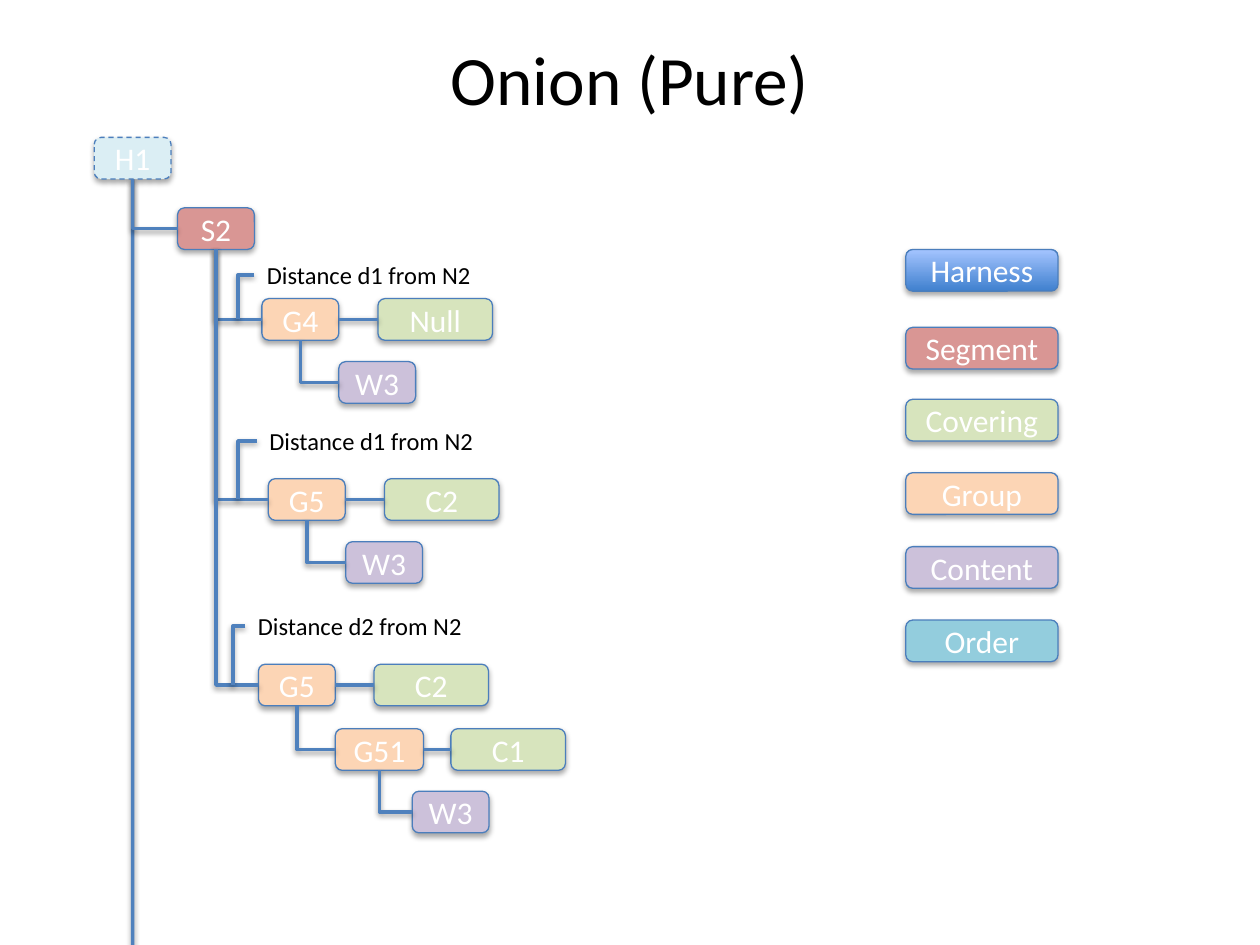
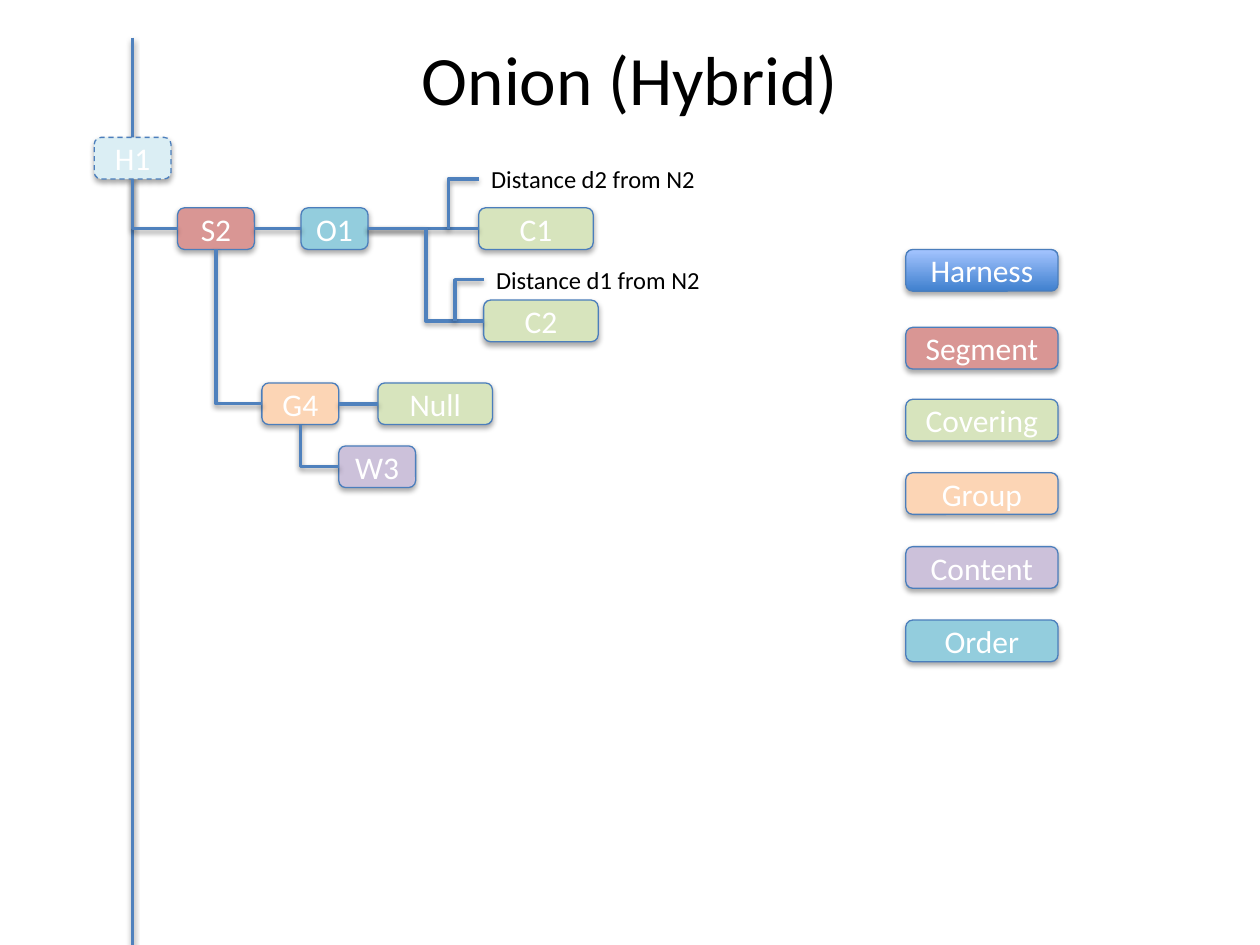
from pptx import Presentation
from pptx import util as u
from pptx.dml.color import RGBColor
from pptx.enum import dml, shapes, text

FONT = "Calibri"
OUTLINE, LINK, WHITE, BLACK = "4B7EBC", "4F81BD", "FFFFFF", "000000"
HARNESS_GRADIENT = ("3F80CE", "A4C4FF")
FILLS = {"Root": "DBEEF4", "Segment": "D99694", "Covering": "D7E4BD",
         "Group": "FCD5B5", "Content": "CCC1DA", "Order": "93CDDD"}
WIDTHS = {"Covering": 2.31, "Order": 1.35}
NODE_WIDTH, NODE_HEIGHT = 1.55, 0.84
LEGEND_LEFT, LEGEND_WIDTH = 18.26, 3.07
LEGEND_TOPS = {"Harness": 5.03, "Segment": 6.6, "Covering": 8.05,
               "Group": 9.53, "Content": 11.02, "Order": 12.5}
PAGE_WIDTH, PAGE_HEIGHT = 25.4, 19.05

ROOT = ("H1", "Root", 1.9, 2.77)
SEGMENT = ("S2", "Segment", 3.58, 4.19)

SLIDES = [
    {
        "title": "Onion (Pure)",
        "trunk_top": ROOT[3] + NODE_HEIGHT,
        "trunk_joins_root": True,
        "nodes": [
            ROOT, SEGMENT,
            ("G4", "Group", 5.28, 6.02),
            ("Null", "Covering", 7.62, 6.02),
            ("W3 first", "Content", 6.83, 7.29),
            ("G5 second", "Group", 5.41, 9.65),
            ("C2 second", "Covering", 7.75, 9.65),
            ("W3 second", "Content", 6.97, 10.92),
            ("G5 third", "Group", 5.21, 13.39),
            ("C2 third", "Covering", 7.54, 13.39),
            ("G51", "Group", 6.76, 14.69, 1.78),
            ("C1", "Covering", 9.09, 14.69),
            ("W3 third", "Content", 8.31, 15.95),
        ],
        "below": [("H1", "S2"), ("S2", "G4"), ("S2", "G5 second"),
                  ("S2", "G5 third"), ("G4", "W3 first"),
                  ("G5 second", "W3 second"), ("G5 third", "G51"),
                  ("G51", "W3 third")],
        "beside": [("G4", "Null"), ("G5 second", "C2 second"),
                   ("G5 third", "C2 third"), ("G51", "C1")],
        "forked": [],
        "distances": [("Distance d1 from N2", 5.13, 5.54, 4.8, "G4"),
                      ("Distance d1 from N2", 5.18, 8.89, 4.8, "G5 second"),
                      ("Distance d2 from N2", 4.95, 12.62, 4.7, "G5 third")],
    },
    {
        "title": "Onion (Hybrid)",
        "trunk_top": 0.76,
        "trunk_joins_root": False,
        "nodes": [
            ROOT, SEGMENT,
            ("O1", "Order", 6.07, 4.19),
            ("C1", "Covering", 9.65, 4.19),
            ("C2", "Covering", 9.75, 6.05),
            ("G4", "Group", 5.28, 7.72),
            ("Null", "Covering", 7.62, 7.72),
            ("W3", "Content", 6.83, 8.99),
        ],
        "below": [("H1", "S2"), ("S2", "G4"), ("G4", "W3")],
        "beside": [("S2", "O1"), ("O1", "C1"), ("G4", "Null")],
        "forked": [("O1", "C2")],
        "distances": [("Distance d2 from N2", 9.65, 3.61, 9.04, "C1"),
                      ("Distance d1 from N2", 9.75, 5.64, 9.17, "C2")],
    },
]


def color(value):
    return RGBColor.from_string(value)


def write(frame, words, size=18, ink=WHITE, align=text.PP_ALIGN.CENTER,
          anchor=text.MSO_ANCHOR.MIDDLE, wrap=False):
    frame.word_wrap = wrap
    frame.vertical_anchor = anchor
    para = frame.paragraphs[0]
    para.alignment = align
    span = para.add_run()
    span.text = words
    span.font.name = FONT
    span.font.size = u.Pt(size)
    span.font.color.rgb = color(ink)


def add_box(page, words, kind, left, top, width):
    box = page.shapes.add_shape(
        shapes.MSO_SHAPE.ROUNDED_RECTANGLE,
        u.Cm(left), u.Cm(top), u.Cm(width), u.Cm(NODE_HEIGHT))
    if kind == "Harness":
        box.fill.gradient()
        box.fill.gradient_angle = 90
        for stop, shade in zip(box.fill.gradient_stops, HARNESS_GRADIENT):
            stop.color.rgb = color(shade)
    else:
        box.fill.solid()
        box.fill.fore_color.rgb = color(FILLS[kind])
    box.line.color.rgb = color(OUTLINE)
    box.line.width = u.Pt(0.75)
    if kind == "Root":
        box.line.dash_style = dml.MSO_LINE.DASH
    write(box.text_frame, words)
    return box


def add_line(page, start=(0, 0), end=(0, 0), kind=shapes.MSO_CONNECTOR.STRAIGHT,
             one_corner=False):
    line = page.shapes.add_connector(kind, *start, *end)
    line.line.color.rgb = color(LINK)
    line.line.width = u.Pt(2)
    if one_corner:
        line._element.spPr.prstGeom.set("prst", "bentConnector2")
    return line


def join(page, start_box, start_side, end_box, end_side, **look):
    line = add_line(page, **look)
    line.begin_connect(start_box, start_side)
    line.end_connect(end_box, end_side)


def add_distance(page, words, left, top, foot, box):
    middle = box.top + box.height // 2
    add_line(page, (u.Cm(left), u.Cm(top)), (u.Cm(foot), middle),
             kind=shapes.MSO_CONNECTOR.ELBOW, one_corner=True)
    label = page.shapes.add_textbox(u.Cm(left), u.Cm(top - 0.43),
                                    u.Cm(4.62), u.Cm(0.86))
    write(label.text_frame, words, size=14, ink=BLACK,
          align=text.PP_ALIGN.LEFT, anchor=text.MSO_ANCHOR.TOP)


def add_title(page, words):
    title = page.shapes.title
    title.left, title.top = u.Cm(1.27), u.Cm(0.76)
    title.width, title.height = u.Cm(22.86), u.Cm(1.6)
    write(title.text_frame, words, size=39.6, ink=BLACK, wrap=True)


def build_page(deck, content):
    page = deck.slides.add_slide(deck.slide_layouts[5])
    add_title(page, content["title"])
    for kind, top in LEGEND_TOPS.items():
        add_box(page, kind, kind, LEGEND_LEFT, top, LEGEND_WIDTH)

    trunk_left = u.Cm(ROOT[2] + NODE_WIDTH / 2)
    trunk = add_line(page, (trunk_left, u.Cm(content["trunk_top"])),
                     (trunk_left, u.Cm(PAGE_HEIGHT)))
    boxes = {}
    for name, kind, left, top, *width in content["nodes"]:
        node_width = width[0] if width else WIDTHS.get(kind, NODE_WIDTH)
        boxes[name] = add_box(page, name.split()[0], kind, left, top, node_width)
    if content["trunk_joins_root"]:
        trunk.begin_connect(boxes["H1"], 2)

    elbow = shapes.MSO_CONNECTOR.ELBOW
    for parent, child in content["below"]:
        join(page, boxes[child], 1, boxes[parent], 2, kind=elbow, one_corner=True)
    for parent, child in content["beside"]:
        join(page, boxes[parent], 3, boxes[child], 1)
    for parent, child in content["forked"]:
        join(page, boxes[parent], 3, boxes[child], 1, kind=elbow)
    for words, left, top, foot, name in content["distances"]:
        add_distance(page, words, left, top, foot, boxes[name])


def main():
    deck = Presentation()
    deck.slide_width, deck.slide_height = u.Cm(PAGE_WIDTH), u.Cm(PAGE_HEIGHT)
    for content in SLIDES:
        build_page(deck, content)
    deck.save("out.pptx")


if __name__ == "__main__":
    main()
